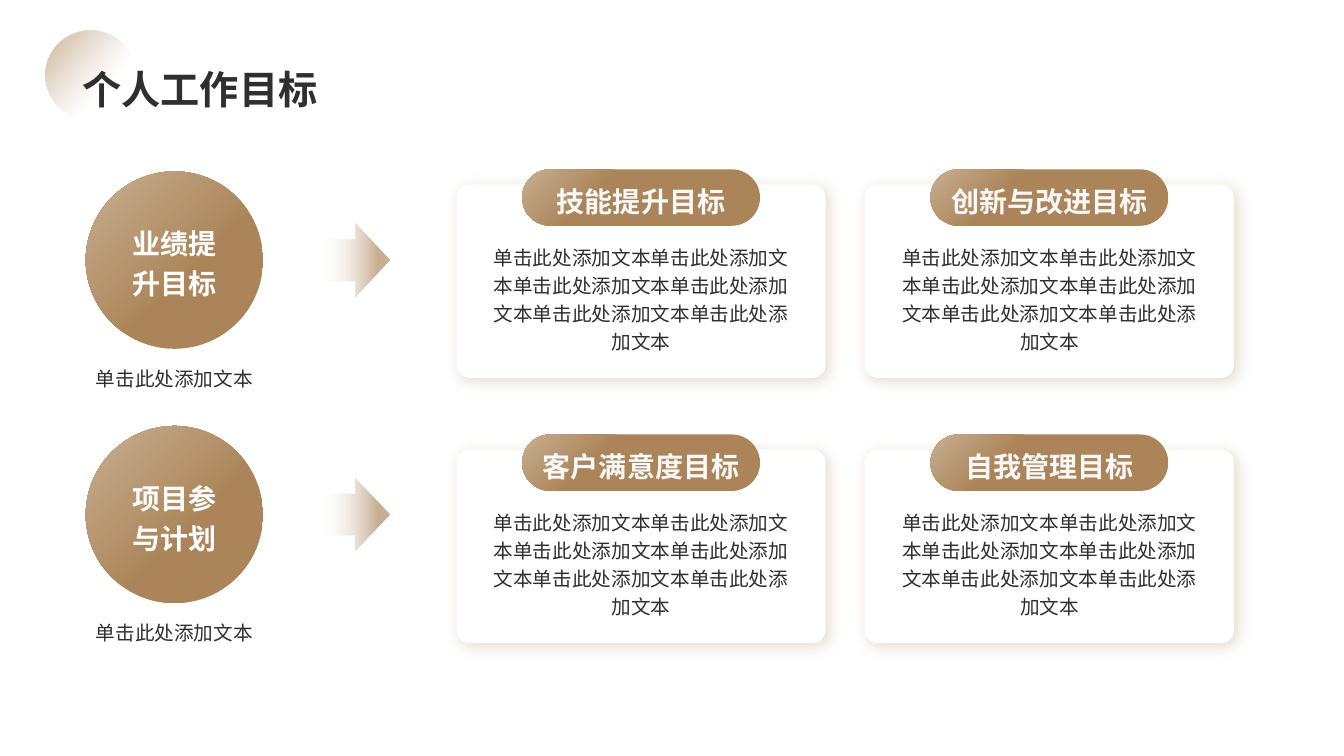
"""Build the personal work goals slide with two milestones and four goal cards."""
from dataclasses import dataclass

from lxml import etree
from pptx import Presentation
from pptx.dml.color import RGBColor
from pptx.enum.lang import MSO_LANGUAGE_ID
from pptx.enum.shapes import MSO_SHAPE
from pptx.enum.text import MSO_ANCHOR, MSO_AUTO_SIZE, PP_ALIGN
from pptx.oxml import parse_xml
from pptx.oxml.ns import nsdecls, qn
from pptx.shapes.autoshape import Shape
from pptx.slide import Slide
from pptx.util import Emu, Inches, Pt

OVAL = MSO_SHAPE.OVAL
ROUNDED = MSO_SHAPE.ROUNDED_RECTANGLE
ARROW = MSO_SHAPE.RIGHT_ARROW
LEFT, CENTER = PP_ALIGN.LEFT, PP_ALIGN.CENTER
TOP, MIDDLE, BOTTOM = MSO_ANCHOR.TOP, MSO_ANCHOR.MIDDLE, MSO_ANCHOR.BOTTOM
FIT_SHAPE = MSO_AUTO_SIZE.SHAPE_TO_FIT_TEXT
CHINESE = MSO_LANGUAGE_ID.SIMPLIFIED_CHINESE
WIDTH, HEIGHT = Inches(13.33), Inches(7.5)


@dataclass(frozen=True)
class Theme:
    bronze: str = "AB8559"
    sand: str = "C8AF92"
    white: str = "FFFFFF"
    pill_text: str = "F8F8F8"
    ink: str = "2F2F2F"
    title_size: int = 28
    label_size: int = 20
    body_size: int = 14
    latin_font: str = "Arial"
    chinese_font: str = "Noto Sans CJK SC"


@dataclass(frozen=True)
class Area:
    """Position and size in percent of the slide."""
    left: float
    top: float
    width: float
    height: float

    def shifted(self, right: float, down: float) -> "Area":
        return Area(self.left + right, self.top + down, self.width, self.height)

    def box(self) -> tuple[Emu, Emu, Emu, Emu]:
        return (Emu(round(WIDTH * self.left / 100)), Emu(round(HEIGHT * self.top / 100)),
                Emu(round(WIDTH * self.width / 100)), Emu(round(HEIGHT * self.height / 100)))


@dataclass(frozen=True)
class Stop:
    position: int
    color: str
    opacity: int = 100


@dataclass(frozen=True)
class Milestone:
    label: str
    row: int


@dataclass(frozen=True)
class Goal:
    label: str
    column: int
    row: int


THEME = Theme()
TITLE = Area(5.4, 1.87, 89.1, 13.07)
ORNAMENT = Area(3.38, 4, 6.67, 11.87)
CIRCLE = Area(6.38, 22.67, 13.2, 23.47)
CAPTION = Area(4.65, 47.2, 16.65, 4.8)
POINTER = Area(23.85, 29.6, 5.1, 9.6)
CARD = Area(33.98, 24.4, 27.45, 25.6)
PILL = Area(38.85, 22.4, 17.7, 7.47)
BODY = Area(35.78, 31.2, 23.85, 16.13)
MILESTONE_ROW, GOAL_COLUMN, GOAL_ROW = 33.67, 30.38, 35.07

LINEAR = '<a:lin ang="{}" scaled="0"/>'
FROM_CORNER = '<a:path path="circle"><a:fillToRect r="100000" b="100000"/></a:path>'
PLACEHOLDER = "单击此处添加文本"
MILESTONES = [Milestone("业绩提升目标", 0), Milestone("项目参与计划", 1)]
GOALS = [
    Goal("技能提升目标", 0, 0),
    Goal("创新与改进目标", 1, 0),
    Goal("客户满意度目标", 0, 1),
    Goal("自我管理目标", 1, 1),
]


def add_plain(page: Slide, kind: MSO_SHAPE, area: Area, adjustments: tuple[float, ...] = ()) -> Shape:
    shape = page.shapes.add_shape(kind, *area.box())
    shape.shadow.inherit = False
    shape.line.fill.background()
    for index, value in enumerate(adjustments):
        shape.adjustments[index] = value
    return shape


def paint_gradient(shape: Shape, stops: list[Stop], direction: str) -> None:
    shape.fill.gradient()
    stop_xml = "".join(
        f'<a:gs pos="{stop.position * 1000}"><a:srgbClr val="{stop.color}">'
        f'<a:alpha val="{stop.opacity * 1000}"/></a:srgbClr></a:gs>' for stop in stops)
    gradient = parse_xml(f'<a:gradFill {nsdecls("a")} rotWithShape="1">'
                         f'<a:gsLst>{stop_xml}</a:gsLst>{direction}</a:gradFill>')
    properties = shape._element.spPr
    properties.replace(properties.find(qn("a:gradFill")), gradient)


def cast_shadow(shape: Shape) -> None:
    effects = shape._element.spPr.find(qn("a:effectLst"))
    effects.append(parse_xml(
        f'<a:outerShdw {nsdecls("a")} blurRad="{Pt(11)}" dist="{Pt(3)}" dir="2700000" '
        f'algn="tl" rotWithShape="0"><a:srgbClr val="{THEME.bronze}">'
        '<a:alpha val="30000"/></a:srgbClr></a:outerShdw>'))


def write_text(box: Shape, text: str, *, size: int, color: str, font: str = THEME.latin_font,
               bold: bool = False, align: PP_ALIGN = CENTER, anchor: MSO_ANCHOR = TOP,
               spacing: float = 1.2, after: int = 0) -> None:
    frame = box.text_frame
    frame.word_wrap = True
    frame.vertical_anchor = anchor
    para = frame.paragraphs[0]
    para.alignment = align
    para.line_spacing = spacing
    para.space_after = Pt(after)
    span = para.add_run()
    span.text = text
    span.font.size = Pt(size)
    span.font.bold = bold
    span.font.name = font
    span.font.color.rgb = RGBColor.from_string(color)
    span.font.language_id = CHINESE
    etree.SubElement(span.font._element, qn("a:ea"), typeface=THEME.chinese_font)


def add_body(page: Slide, area: Area, text: str) -> None:
    box = page.shapes.add_textbox(*area.box())
    write_text(box, text, size=THEME.body_size, color=THEME.ink, after=6)
    box.text_frame.auto_size = FIT_SHAPE


def add_label(shape: Shape, text: str, color: str, bronze_from: int) -> None:
    paint_gradient(shape, [Stop(0, THEME.sand), Stop(bronze_from, THEME.bronze)], FROM_CORNER)
    write_text(shape, text, size=THEME.label_size, color=color, font=THEME.chinese_font,
               bold=True, anchor=MIDDLE)


def add_title(page: Slide, text: str) -> None:
    ornament = add_plain(page, OVAL, ORNAMENT)
    ornament.rotation = 355.9
    paint_gradient(ornament, [Stop(0, THEME.bronze, 70), Stop(64, THEME.sand, 0)],
                   LINEAR.format(2700000))
    box = page.shapes.add_textbox(*TITLE.box())
    box.text_frame.margin_bottom = Inches(0.01)
    write_text(box, text, size=THEME.title_size, color=THEME.ink, bold=True,
               align=LEFT, anchor=BOTTOM, spacing=1.0)


def add_milestone(page: Slide, milestone: Milestone) -> None:
    down = milestone.row * MILESTONE_ROW
    circle = add_plain(page, OVAL, CIRCLE.shifted(0, down))
    add_label(circle, milestone.label, THEME.white, 59)
    add_body(page, CAPTION.shifted(0, down), PLACEHOLDER)
    pointer = add_plain(page, ARROW, POINTER.shifted(0, down), (0.567, 0.5))
    paint_gradient(pointer, [Stop(0, THEME.white, 0), Stop(82, THEME.sand)], LINEAR.format(0))


def add_goal(page: Slide, goal: Goal) -> None:
    right, down = goal.column * GOAL_COLUMN, goal.row * GOAL_ROW
    card = add_plain(page, ROUNDED, CARD.shifted(right, down), (0.068,))
    card.fill.solid()
    card.fill.fore_color.rgb = RGBColor.from_string(THEME.white)
    cast_shadow(card)
    pill = add_plain(page, ROUNDED, PILL.shifted(right, down), (0.5,))
    add_label(pill, goal.label, THEME.pill_text, 33)
    add_body(page, BODY.shifted(right, down), PLACEHOLDER * 6)


def main() -> None:
    deck = Presentation()
    deck.slide_width, deck.slide_height = WIDTH, HEIGHT
    page = deck.slides.add_slide(deck.slide_layouts[6])
    add_title(page, "个人工作目标")
    for milestone in MILESTONES:
        add_milestone(page, milestone)
    for goal in GOALS:
        add_goal(page, goal)
    deck.save("out.pptx")


if __name__ == "__main__":
    main()
